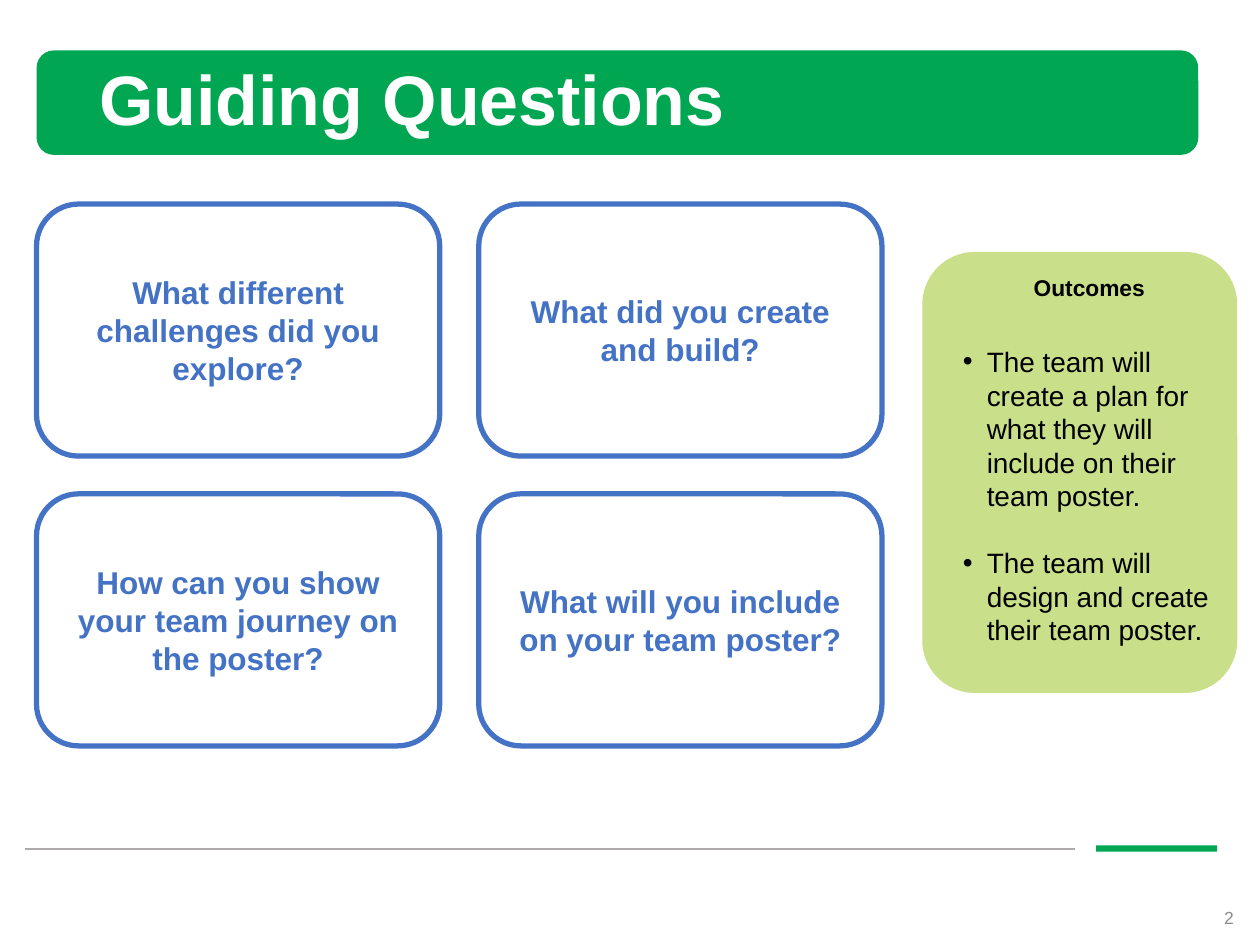
"""Build the Guiding Questions slide: title bar, four question cards and an outcomes panel."""
from dataclasses import dataclass

from lxml import etree
from pptx import Presentation
from pptx.dml.color import RGBColor
from pptx.enum import shapes, text
from pptx.oxml.ns import qn
from pptx.util import Inches, Pt


@dataclass(frozen=True)
class Theme:
    font: str = "Arial"
    green: str = "00A651"
    lime: str = "C9DF89"
    blue: str = "4472C4"
    white: str = "FFFFFF"
    black: str = "000000"
    rule: str = "AFABAB"
    muted: str = "8C8C8C"
    title: int = 40
    question: int = 18
    body: int = 16
    heading: int = 13
    number: int = 10


theme = Theme()
prs = Presentation()
prs.slide_width, prs.slide_height = Inches(10), Inches(7.5)
s = prs.slides.add_slide(prs.slide_layouts[6])
col, row = prs.slide_width / 100, prs.slide_height / 75


def grid(x, y, w, h):
    return [round(n * unit) for n, unit in zip((x, y, w, h), (col, row, col, row))]


def write(tf, words, size, color=theme.black, bold=False, align=text.PP_ALIGN.LEFT,
          anchor=text.MSO_ANCHOR.MIDDLE, before=0, after=0, spacing=1.0, bullet=False):
    tf.word_wrap = True
    tf.vertical_anchor = anchor
    p = tf.add_paragraph() if tf.text else tf.paragraphs[0]
    p.alignment, p.line_spacing = align, spacing
    p.space_before, p.space_after = Pt(before), Pt(after)
    if bullet:
        pPr = p._p.get_or_add_pPr()
        pPr.set("marL", str(Inches(0.19)))
        pPr.set("indent", str(Inches(-0.19)))
        etree.SubElement(pPr, qn("a:buFont")).set("typeface", theme.font)
        etree.SubElement(pPr, qn("a:buChar")).set("char", "•")
    r = p.add_run()
    r.text = words
    r.font.name, r.font.size, r.font.bold = theme.font, Pt(size), bold
    r.font.color.rgb = RGBColor.from_string(color)


rounded = shapes.MSO_SHAPE.ROUNDED_RECTANGLE
blocks = {
    "accent": (shapes.MSO_SHAPE.RECTANGLE, (87, 67.1, 9.6, 0.5), theme.green),
    "bar": (rounded, (2.9, 4, 92.2, 8.3), theme.green),
    "panel": (rounded, (73.2, 20, 25, 35), theme.lime),
}
questions = [
    "What different challenges did you explore?",
    "What did you create and build?",
    "How can you show your team journey on the poster?",
    "What will you include on your team poster?",
]
for i, question in enumerate(questions):
    y, x = divmod(i, 2)
    blocks[question] = (rounded, (2.9 + 35.1 * x, 16.2 + 23 * y, 32, 20), theme.white)

for name, (preset, place, fill) in blocks.items():
    sp = s.shapes.add_shape(preset, *grid(*place))
    sp.shadow.inherit = False
    sp.fill.solid()
    sp.fill.fore_color.rgb = RGBColor.from_string(fill)
    sp.line.fill.background()
    tf = sp.text_frame
    if name in questions:
        sp.line.color.rgb = RGBColor.from_string(theme.blue)
        sp.line.width = Pt(3)
        write(tf, name, theme.question, color=theme.blue, bold=True,
              align=text.PP_ALIGN.CENTER)
    elif name == "panel":
        tf.margin_left, tf.margin_top = Inches(0.2), Inches(0.05)
        tf.margin_right, tf.margin_bottom = Inches(0.05), Inches(0.1)
        top = text.MSO_ANCHOR.TOP
        write(tf, "Outcomes", theme.heading, bold=True,
              align=text.PP_ALIGN.CENTER, anchor=top, after=2)
        write(tf, "The team will create a plan for what they will include on their team poster.",
              theme.body, anchor=top, before=23, bullet=True)
        write(tf, "The team will design and create their team poster.",
              theme.body, anchor=top, before=19, bullet=True)

rule = s.shapes.add_connector(shapes.MSO_CONNECTOR.STRAIGHT,
                              *grid(2, 67.4, 85.3, 67.4))
rule.line.color.rgb = RGBColor.from_string(theme.rule)
rule.line.width = Pt(1)
etree.SubElement(rule._element.spPr, qn("a:effectLst"))

title = s.shapes.add_textbox(*grid(6.9, 4, 86.2, 8.3))
write(title.text_frame, "Guiding Questions", theme.title, color=theme.white,
      bold=True, spacing=0.9)
number = s.shapes.add_textbox(*grid(95, 71.7, 3.9, 2.3))
write(number.text_frame, "2", theme.number, color=theme.muted, align=text.PP_ALIGN.RIGHT)

prs.save("out.pptx")
